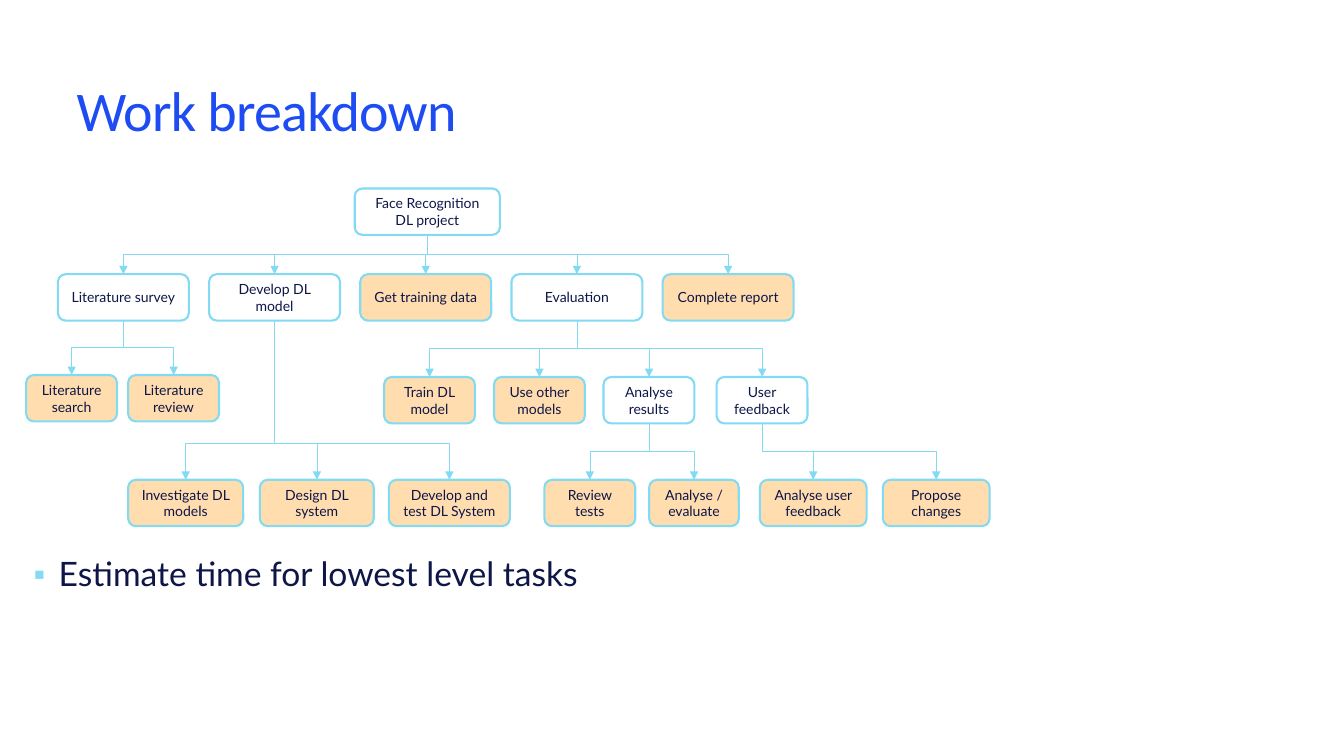
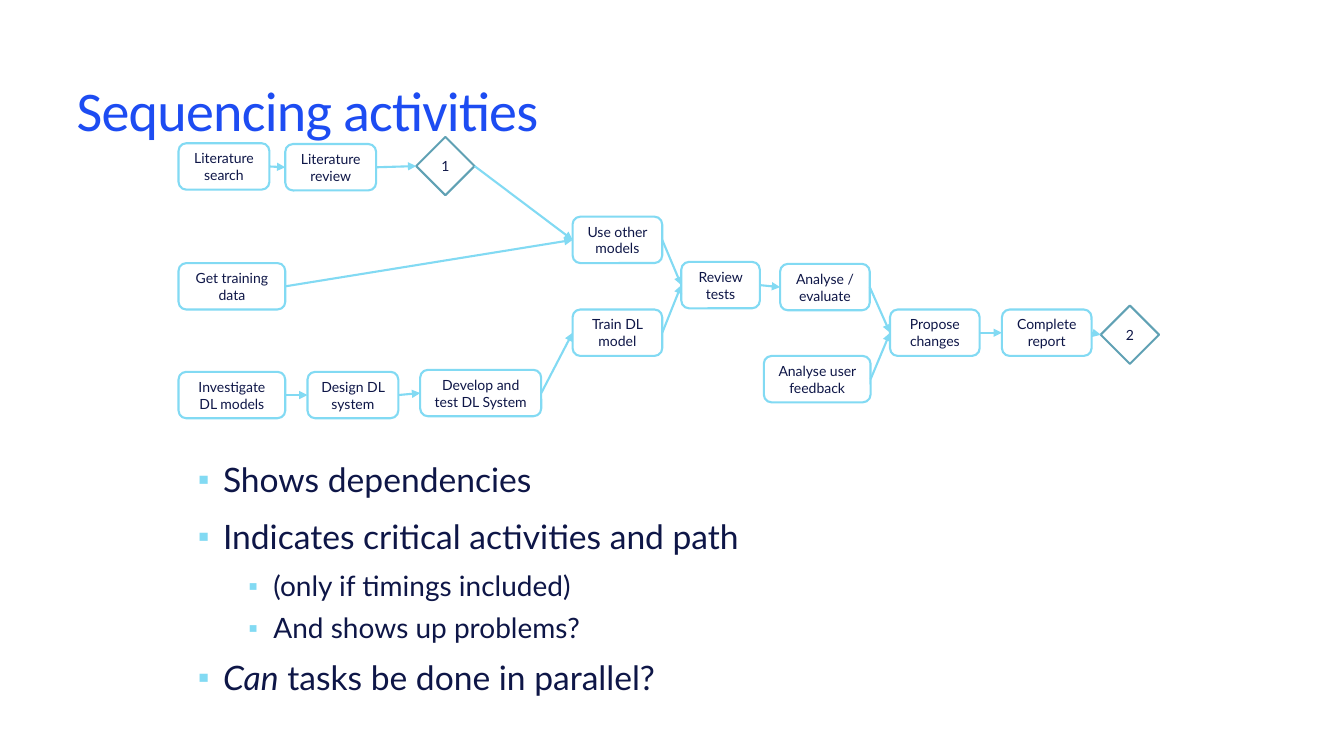
from dataclasses import dataclass, field

import lxml.etree
import pptx
import pptx.dml.color
import pptx.enum.shapes
import pptx.enum.text
import pptx.oxml.ns
import pptx.presentation
import pptx.shapes.autoshape
import pptx.shapes.connector
import pptx.slide
import pptx.text.text
import pptx.util

Cm = pptx.util.Cm
Pt = pptx.util.Pt
RGBColor = pptx.dml.color.RGBColor
ShapeKind = pptx.enum.shapes.MSO_SHAPE
ConnectorKind = pptx.enum.shapes.MSO_CONNECTOR
qn = pptx.oxml.ns.qn

TOP, LEFT, BOTTOM, RIGHT = range(4)
Nodes = dict[str, pptx.shapes.autoshape.Shape]


@dataclass(frozen=True)
class Theme:
    title_font: str = "Calibri"
    text_font: str = "Lato"
    title_color: RGBColor = RGBColor(0x1D, 0x4C, 0xF2)
    text_color: RGBColor = RGBColor(0x0E, 0x16, 0x47)
    accent: RGBColor = RGBColor(0x82, 0xDA, 0xF3)
    milestone_line: RGBColor = RGBColor(0x60, 0xA1, 0xB4)
    plain: RGBColor = RGBColor(0xFF, 0xFF, 0xFF)
    lowest_level: RGBColor = RGBColor(0xFF, 0xDD, 0xAF)
    title_size: float = 40
    bullet_sizes: tuple[float, ...] = (24, 20)
    bullet_gaps: tuple[float, ...] = (6, 3)
    bullet_margins: tuple[float, ...] = (0.64, 1.91)
    bullet_hang: float = 0.64
    box_size: float = 10
    box_height: float = 1.17
    milestone_side: float = 1.47
    outline: float = 1.5
    tree_line: float = 0.5


THEME = Theme()


@dataclass(frozen=True)
class Box:
    label: str
    left: float
    top: float
    width: float = 2.29
    fill: RGBColor = THEME.plain


@dataclass(frozen=True)
class Milestone:
    label: str
    left: float
    top: float


@dataclass(frozen=True)
class Branch:
    parent: str
    children: tuple[str, ...]
    bend: float = 0.5


@dataclass(frozen=True)
class Bullet:
    text: str
    level: int = 0
    emphasis: str = ""


@dataclass(frozen=True)
class Page:
    title: str
    body_area: tuple[float, float, float, float]
    bullets: tuple[Bullet, ...]
    boxes: tuple[Box, ...]
    milestones: tuple[Milestone, ...] = ()
    branches: tuple[Branch, ...] = ()
    sequence: tuple[tuple[str, str], ...] = field(default=())


TASK = THEME.lowest_level
STAGE_TOP, SURVEY_TOP, STEP_TOP, LEAF_TOP = 6.91, 9.45, 9.5, 12.09
STAGES = (
    ("Literature survey", THEME.plain),
    ("Develop DL model", THEME.plain),
    ("Get training data", TASK),
    ("Evaluation", THEME.plain),
    ("Complete report", TASK),
)

WORK_BREAKDOWN = Page(
    title="Work breakdown",
    body_area=(0.84, 13.94, 23.77, 4.01),
    bullets=(Bullet("Estimate time for lowest level tasks"),),
    boxes=(
        Box("Face Recognition DL project", 8.94, 4.75, 3.66),
        *(Box(label, 1.46 + 3.81 * index, STAGE_TOP, 3.3, fill)
          for index, (label, fill) in enumerate(STAGES)),
        Box("Literature search", 0.66, SURVEY_TOP, fill=TASK),
        Box("Literature review", 3.23, SURVEY_TOP, fill=TASK),
        Box("Train DL model", 9.68, STEP_TOP, fill=TASK),
        Box("Use other models", 12.45, STEP_TOP, fill=TASK),
        Box("Analyse results", 15.21, STEP_TOP),
        Box("User feedback", 18.06, STEP_TOP),
        Box("Investigate DL models", 3.23, LEAF_TOP, 2.9, TASK),
        Box("Design DL system", 6.55, LEAF_TOP, 2.87, TASK),
        Box("Develop and test DL System", 9.8, LEAF_TOP, 3.05, TASK),
        Box("Review tests", 13.72, LEAF_TOP, fill=TASK),
        Box("Analyse / evaluate", 16.36, LEAF_TOP, 2.26, TASK),
        Box("Analyse user feedback", 19.15, LEAF_TOP, 2.69, TASK),
        Box("Propose changes", 22.25, LEAF_TOP, 2.69, TASK),
    ),
    branches=(
        Branch("Face Recognition DL project", tuple(label for label, _ in STAGES)),
        Branch("Literature survey", ("Literature search", "Literature review")),
        Branch("Develop DL model",
               ("Investigate DL models", "Design DL system", "Develop and test DL System"), 0.77),
        Branch("Evaluation",
               ("Train DL model", "Use other models", "Analyse results", "User feedback")),
        Branch("Analyse results", ("Review tests", "Analyse / evaluate")),
        Branch("User feedback", ("Analyse user feedback", "Propose changes")),
    ),
)

SEQUENCING = Page(
    title="Sequencing activities",
    body_area=(4.98, 11.56, 23.77, 6.4),
    bullets=(
        Bullet("Shows dependencies"),
        Bullet("Indicates critical activities and path"),
        Bullet("(only if timings included)", 1),
        Bullet("And shows up problems?", 1),
        Bullet(" tasks be done in parallel?", emphasis="Can"),
    ),
    boxes=(
        Box("Literature search", 4.5, 3.61),
        Box("Literature review", 7.19, 3.63),
        Box("Get training data", 4.5, 6.63, 2.69),
        Box("Investigate DL models", 4.5, 9.37, 2.69),
        Box("Design DL system", 7.75, 9.37),
        Box("Develop and test DL System", 10.59, 9.32, 3.05),
        Box("Use other models", 14.43, 5.46, 2.26),
        Box("Train DL model", 14.43, 7.8, 2.26),
        Box("Review tests", 17.17, 6.6, 1.98),
        Box("Analyse / evaluate", 19.66, 6.65, 2.26),
        Box("Analyse user feedback", 19.25, 8.97, 2.69),
        Box("Propose changes", 22.43, 7.8, 2.26),
        Box("Complete report", 25.25, 7.8, 2.26),
    ),
    milestones=(Milestone("1", 10.49, 3.45), Milestone("2", 27.74, 7.7)),
    sequence=(
        ("Literature search", "Literature review"),
        ("Literature review", "1"),
        ("Get training data", "Use other models"),
        ("1", "Use other models"),
        ("Investigate DL models", "Design DL system"),
        ("Use other models", "Review tests"),
        ("Design DL system", "Develop and test DL System"),
        ("Develop and test DL System", "Train DL model"),
        ("Train DL model", "Review tests"),
        ("Review tests", "Analyse / evaluate"),
        ("Analyse / evaluate", "Propose changes"),
        ("Analyse user feedback", "Propose changes"),
        ("Propose changes", "Complete report"),
        ("Complete report", "2"),
    ),
)


def format_run(run: pptx.text.text._Run, font: str, size: float, color: RGBColor) -> None:
    run.font.name = font
    run.font.size = Pt(size)
    run.font.color.rgb = color


def clear_insets(text_frame: pptx.text.text.TextFrame) -> None:
    text_frame.margin_left = text_frame.margin_right = 0
    text_frame.margin_top = text_frame.margin_bottom = 0
    text_frame.word_wrap = True
    text_frame.auto_size = pptx.enum.text.MSO_AUTO_SIZE.NONE


def place(shape: pptx.shapes.autoshape.Shape, area: tuple[float, float, float, float]) -> None:
    shape.left, shape.top, shape.width, shape.height = (Cm(length) for length in area)


def write_title(slide: pptx.slide.Slide, title: str) -> None:
    text_frame = slide.shapes.title.text_frame
    text_frame.text = title
    clear_insets(text_frame)
    text_frame.vertical_anchor = pptx.enum.text.MSO_ANCHOR.MIDDLE
    paragraph = text_frame.paragraphs[0]
    paragraph.alignment = pptx.enum.text.PP_ALIGN.LEFT
    paragraph.line_spacing = 0.9
    run = paragraph.runs[0]
    format_run(run, THEME.title_font, THEME.title_size, THEME.title_color)
    run._r.get_or_add_rPr().set("spc", "-50")


def format_bullet(paragraph: pptx.text.text._Paragraph, level: int) -> None:
    paragraph.level = level
    paragraph.space_before = paragraph.space_after = Pt(THEME.bullet_gaps[level])
    properties = paragraph._p.get_or_add_pPr()
    properties.set("marL", str(Cm(THEME.bullet_margins[level])))
    properties.set("indent", str(-Cm(THEME.bullet_hang)))
    color = lxml.etree.SubElement(properties, qn("a:buClr"))
    lxml.etree.SubElement(color, qn("a:srgbClr"), val=str(THEME.accent))
    lxml.etree.SubElement(properties, qn("a:buSzPct"), val="90000")
    lxml.etree.SubElement(properties, qn("a:buFont"), typeface=THEME.text_font)
    lxml.etree.SubElement(properties, qn("a:buChar"), char="▪")


def write_bullets(slide: pptx.slide.Slide, page: Page) -> None:
    body = slide.placeholders[1]
    place(body, page.body_area)
    text_frame = body.text_frame
    clear_insets(text_frame)
    for index, bullet in enumerate(page.bullets):
        paragraph = text_frame.add_paragraph() if index else text_frame.paragraphs[0]
        format_bullet(paragraph, bullet.level)
        for text, italic in ((bullet.emphasis, True), (bullet.text, False)):
            if text:
                run = paragraph.add_run()
                run.text = text
                run.font.italic = italic
                format_run(run, THEME.text_font, THEME.bullet_sizes[bullet.level],
                           THEME.text_color)


def draw_node(slide: pptx.slide.Slide, node: Box | Milestone) -> pptx.shapes.autoshape.Shape:
    is_box = isinstance(node, Box)
    width = node.width if is_box else THEME.milestone_side
    height = THEME.box_height if is_box else THEME.milestone_side
    kind = ShapeKind.ROUNDED_RECTANGLE if is_box else ShapeKind.DIAMOND
    shape = slide.shapes.add_shape(kind, Cm(node.left), Cm(node.top), Cm(width), Cm(height))
    shape.shadow.inherit = False
    if is_box:
        shape.fill.solid()
        shape.fill.fore_color.rgb = node.fill
    else:
        shape.fill.background()
    shape.line.color.rgb = THEME.accent if is_box else THEME.milestone_line
    shape.line.width = Pt(THEME.outline)
    text_frame = shape.text_frame
    text_frame.text = node.label
    text_frame.word_wrap = True
    text_frame.vertical_anchor = pptx.enum.text.MSO_ANCHOR.MIDDLE
    paragraph = text_frame.paragraphs[0]
    paragraph.alignment = pptx.enum.text.PP_ALIGN.CENTER
    format_run(paragraph.runs[0], THEME.text_font, THEME.box_size, THEME.text_color)
    return shape


def draw_arrow(slide: pptx.slide.Slide, kind: ConnectorKind,
               start: tuple[pptx.shapes.autoshape.Shape, int],
               end: tuple[pptx.shapes.autoshape.Shape, int],
               weight: float) -> pptx.shapes.connector.Connector:
    connector = slide.shapes.add_connector(kind, 0, 0, 0, 0)
    connector.begin_connect(*start)
    connector.end_connect(*end)
    connector.line.color.rgb = THEME.accent
    connector.line.width = Pt(weight)
    properties = connector.element.spPr
    lxml.etree.SubElement(properties.find(qn("a:ln")), qn("a:tailEnd"), type="triangle")
    lxml.etree.SubElement(properties, qn("a:effectLst"))
    return connector


def turn_downward(connector: pptx.shapes.connector.Connector, bend: float) -> None:
    across = connector.end_x - connector.begin_x
    drop = connector.end_y - connector.begin_y
    center_x = (connector.begin_x + connector.end_x) // 2
    center_y = (connector.begin_y + connector.end_y) // 2
    connector.left, connector.top = center_x - drop // 2, center_y - abs(across) // 2
    connector.width, connector.height = drop, abs(across)
    properties = connector.element.spPr
    transform = properties.find(qn("a:xfrm"))
    transform.set("rot", "5400000" if across < 0 else "16200000")
    transform.set("flipH", "0" if across < 0 else "1")
    adjustments = properties.find(qn("a:prstGeom")).find(qn("a:avLst"))
    lxml.etree.SubElement(adjustments, qn("a:gd"), name="adj1", fmla=f"val {round(bend * 100000)}")


def build_page(presentation: pptx.presentation.Presentation, page: Page) -> None:
    slide = presentation.slides.add_slide(presentation.slide_layouts[1])
    write_title(slide, page.title)
    write_bullets(slide, page)
    nodes: Nodes = {node.label: draw_node(slide, node) for node in page.boxes + page.milestones}
    for branch in page.branches:
        for child in branch.children:
            connector = draw_arrow(slide, ConnectorKind.ELBOW, (nodes[branch.parent], BOTTOM),
                                   (nodes[child], TOP), THEME.tree_line)
            turn_downward(connector, branch.bend)
    for before, after in page.sequence:
        draw_arrow(slide, ConnectorKind.STRAIGHT, (nodes[before], RIGHT),
                   (nodes[after], LEFT), THEME.outline)


def main() -> None:
    presentation = pptx.Presentation()
    presentation.slide_width, presentation.slide_height = Cm(33.87), Cm(19.05)
    place(presentation.slide_layouts[1].placeholders[0], (1.93, 1.02, 30, 3.68))
    for page in (WORK_BREAKDOWN, SEQUENCING):
        build_page(presentation, page)
    presentation.save("out.pptx")


if __name__ == "__main__":
    main()
